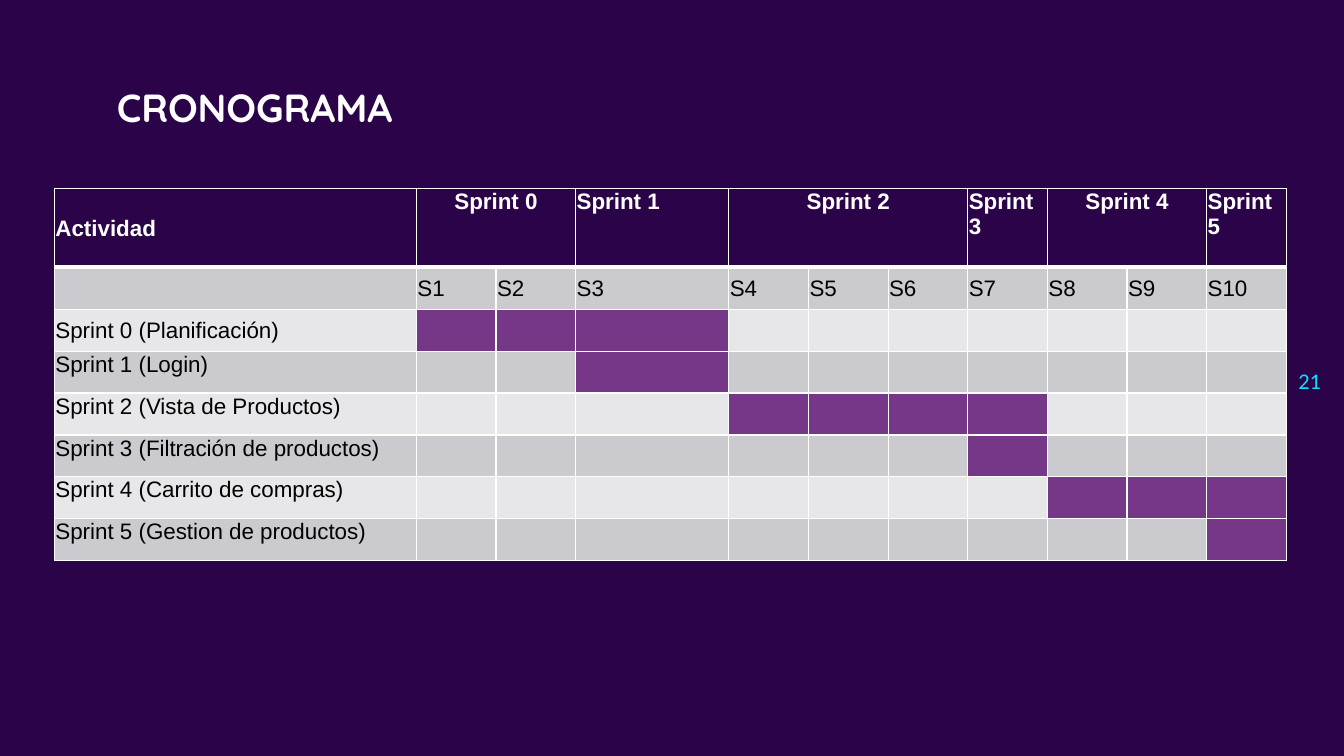
import dataclasses
import typing

import lxml.etree
import pptx
import pptx.dml.color
import pptx.enum.text
import pptx.oxml.ns
import pptx.util

Inches = pptx.util.Inches
Pt = pptx.util.Pt
Align = pptx.enum.text.PP_ALIGN
Anchor = pptx.enum.text.MSO_ANCHOR

NIGHT, WHITE, BLACK, CYAN = "2B0348", "FFFFFF", "000000", "0BE1FF"
DARK, LIGHT, BAR = "CBCACE", "E7E6E8", "763788"


@dataclasses.dataclass
class Sprint:
    task: str
    weeks: int
    first: int
    last: int


SPRINTS = [
    Sprint("Planificación", 2, 1, 3),
    Sprint("Login", 1, 3, 3),
    Sprint("Vista de Productos", 3, 4, 7),
    Sprint("Filtración de productos", 1, 7, 7),
    Sprint("Carrito de compras", 2, 8, 10),
    Sprint("Gestion de productos", 1, 10, 10),
]
WEEKS = sum(sprint.weeks for sprint in SPRINTS)
COLS = [3.59] + [1.52 if week == 3 else 0.79 for week in range(1, WEEKS + 1)]
ROWS = [0.78, 0.42] + [0.415] * len(SPRINTS)
CELL = {
    "margin_left": Inches(0.01),
    "margin_right": Inches(0.01),
    "margin_top": Inches(0.01),
    "margin_bottom": 0,
}


def color(code: str) -> pptx.dml.color.RGBColor:
    return pptx.dml.color.RGBColor.from_string(code)


def apply(item: typing.Any, values: dict[str, typing.Any]) -> None:
    for name, value in values.items():
        setattr(item, name, value)


def write(frame: typing.Any, text: str, ink: str, align: Align = Align.LEFT,
          **font: typing.Any) -> None:
    line = frame.paragraphs[0]
    line.alignment = align
    run = line.add_run()
    run.text = text
    apply(run.font, font)
    run.font.color.rgb = color(ink)


def border(cell: typing.Any, top: float, bottom: float) -> None:
    props = cell._tc.get_or_add_tcPr()
    sides = {"lnL": 1, "lnR": 1, "lnT": top, "lnB": bottom}
    for place, (side, width) in enumerate(sides.items()):
        edge = lxml.etree.Element(pptx.oxml.ns.qn("a:" + side), w=str(Pt(width)))
        fill = lxml.etree.SubElement(edge, pptx.oxml.ns.qn("a:solidFill"))
        lxml.etree.SubElement(fill, pptx.oxml.ns.qn("a:srgbClr"), val=WHITE)
        props.insert(place, edge)


def shade(row: int, col: int) -> str:
    if row == 0:
        return NIGHT
    if row > 1 and SPRINTS[row - 2].first <= col <= SPRINTS[row - 2].last:
        return BAR
    return DARK if row % 2 else LIGHT


def label(cell: typing.Any, text: str, mid: bool = False, head: bool = False,
          align: Align = Align.LEFT) -> None:
    cell.vertical_anchor = Anchor.MIDDLE if mid else Anchor.TOP
    write(cell.text_frame, text, WHITE if head else BLACK, align,
          name="Arial", size=Pt(16), bold=head)


def chart(slide: typing.Any) -> None:
    table = slide.shapes.add_table(
        len(ROWS), len(COLS), Inches(0.54), Inches(1.87),
        Inches(sum(COLS)), Inches(sum(ROWS))).table
    for col, width in enumerate(COLS):
        table.columns[col].width = Inches(width)
    for row, height in enumerate(ROWS):
        table.rows[row].height = Inches(height)
        for col in range(len(COLS)):
            cell = table.cell(row, col)
            apply(cell, CELL)
            border(cell, 3 if row == 1 else 1, 3 if row == 0 else 1)
            cell.fill.solid()
            cell.fill.fore_color.rgb = color(shade(row, col))
    label(table.cell(0, 0), "Actividad", mid=True, head=True)
    for week in range(1, WEEKS + 1):
        label(table.cell(1, week), f"S{week}", mid=True)
    start = 1
    for index, sprint in enumerate(SPRINTS):
        name = f"Sprint {index}"
        cell = table.cell(0, start)
        wide = sprint.weeks > 1
        if wide:
            cell.merge(table.cell(0, start + sprint.weeks - 1))
        label(cell, name, head=True, align=Align.CENTER if wide else Align.LEFT)
        label(table.cell(index + 2, 0), f"{name} ({sprint.task})", mid=index == 0)
        start += sprint.weeks


def main() -> None:
    deck = pptx.Presentation()
    apply(deck, {"slide_width": Inches(13.33), "slide_height": Inches(7.5)})
    slide = deck.slides.add_slide(deck.slide_layouts[5])
    slide.background.fill.solid()
    slide.background.fill.fore_color.rgb = color(NIGHT)

    title = slide.shapes.title
    apply(title, {"left": Inches(1.06), "top": Inches(0.83),
                  "width": Inches(5.93), "height": Inches(0.63)})
    apply(title.text_frame, {"vertical_anchor": Anchor.TOP, "word_wrap": True})
    write(title.text_frame, "CRONOGRAMA", WHITE,
          name="Quicksand", size=Pt(28), bold=True)
    title.text_frame.paragraphs[0].line_spacing = 0.9

    number = slide.shapes.add_textbox(
        Inches(12.6), Inches(3.46), Inches(0.6), Inches(0.63)).text_frame
    apply(number, {"vertical_anchor": Anchor.MIDDLE, "word_wrap": True})
    write(number, "21", CYAN, Align.RIGHT, name="Calibri", size=Pt(16))

    chart(slide)
    deck.save("out.pptx")


if __name__ == "__main__":
    main()
